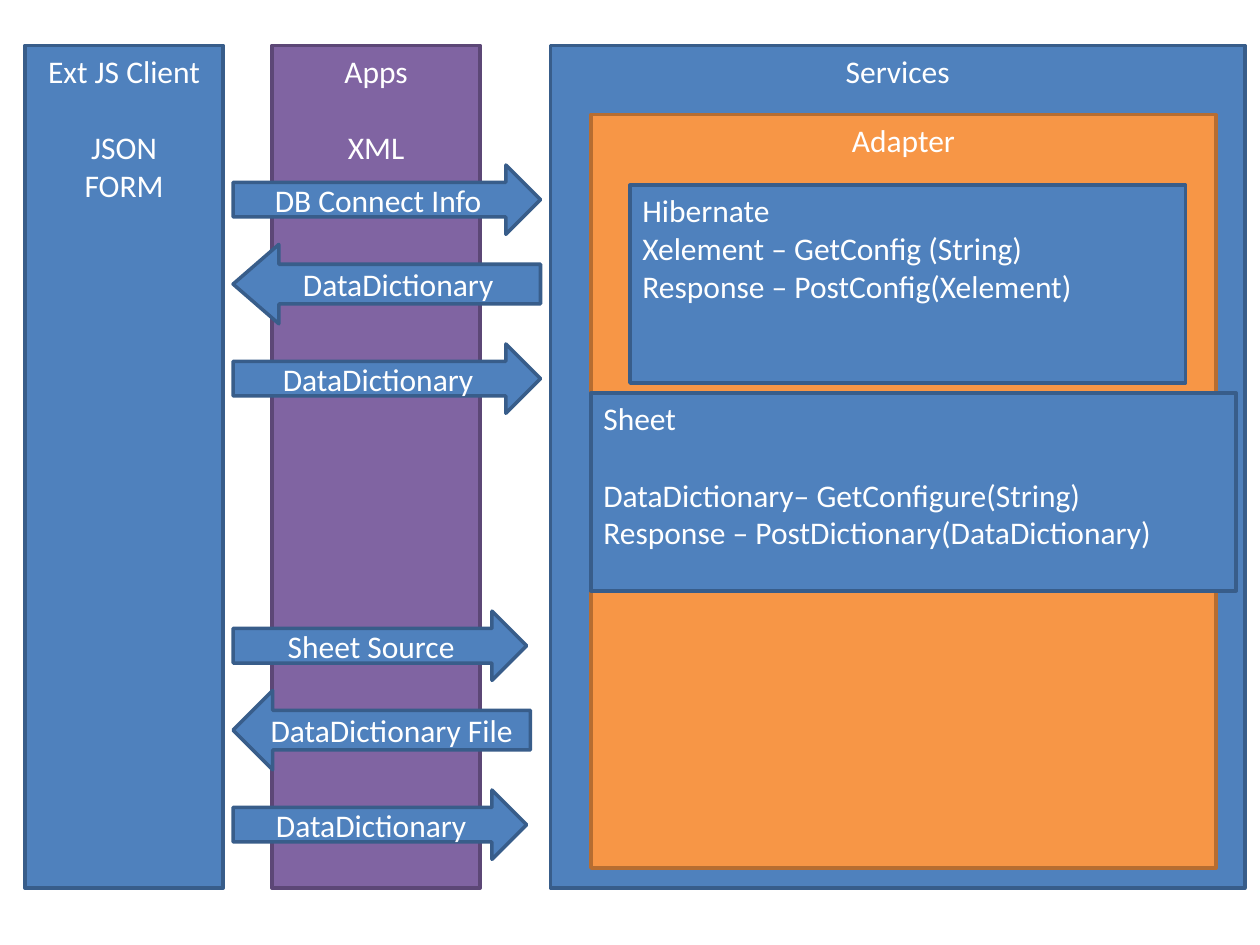
import pptx
import pptx.util
import pptx.dml.color
import pptx.enum.shapes
import pptx.enum.text

SHAPES = pptx.enum.shapes.MSO_SHAPE
ALIGN = pptx.enum.text.PP_ALIGN
ANCHOR = pptx.enum.text.MSO_ANCHOR

# Content: each paragraph is (blank lines above, text); \v breaks a line
BLUE, ORANGE, PURPLE = ("4F81BD", "385D8A"), ("F79646", "B66D31"), ("8064A2", "5C4776")
COLUMN_TOP, COLUMN_HEIGHT, CARD_HEIGHT = 0.36, 6.69, 1.57
PANELS = [  # left, top, width, height, colours, alignment, paragraphs
    (4.37, COLUMN_TOP, 5.51, COLUMN_HEIGHT, BLUE, ALIGN.CENTER, [(0, "Services")]),
    (4.69, 0.91, 4.96, 5.98, ORANGE, ALIGN.CENTER, [(0, "Adapter")]),
    (2.16, COLUMN_TOP, 1.65, COLUMN_HEIGHT, PURPLE, ALIGN.CENTER,
     [(0, "Apps"), (1, "XML")]),
    (5.0, 1.47, 4.41, CARD_HEIGHT, BLUE, ALIGN.LEFT,
     [(0, "Hibernate\vXelement – GetConfig (String)"),
      (0, "Response – PostConfig(Xelement)")]),
    (0.2, COLUMN_TOP, 1.57, COLUMN_HEIGHT, BLUE, ALIGN.CENTER,
     [(0, "Ext JS Client"), (1, "JSON\vFORM")]),
    (4.69, 3.12, 5.12, CARD_HEIGHT, BLUE, ALIGN.LEFT,
     [(0, "Sheet"), (1, "DataDictionary– GetConfigure(String)"),
      (0, "Response – PostDictionary(DataDictionary)")]),
]

# Each exchange is request, reply, request: (text, width)
EXCHANGES = [
    (1.31, 0.577, [("DB Connect Info", 2.44), ("DataDictionary", 2.44),
                   ("DataDictionary", 2.44)]),
    (4.85, 0.5, [("Sheet Source", 2.33), ("DataDictionary File", 2.36),
                 ("DataDictionary", 2.33)]),
]
ARROW_LEFT = 1.85
STEPS = [  # offset from the exchange's top, height, shape
    (0, 0.55, SHAPES.RIGHT_ARROW),
    (0.63, 0.63, SHAPES.LEFT_ARROW),
    (1.42, 0.55, SHAPES.RIGHT_ARROW),
]
LINE_HEIGHT = 22


def colour(value):
    return pptx.dml.color.RGBColor.from_string(value)


def add_box(page, kind, place, colours, align, anchor, paragraphs):
    box = page.shapes.add_shape(kind, *map(pptx.util.Inches, place))
    box.shadow.inherit = False
    box.fill.solid()
    box.fill.fore_color.rgb = colour(colours[0])
    box.line.color.rgb = colour(colours[1])
    box.line.width = pptx.util.Pt(2)
    frame = box.text_frame
    frame.word_wrap = True
    frame.vertical_anchor = anchor
    for index, (gap, text) in enumerate(paragraphs):
        para = frame.add_paragraph() if index else frame.paragraphs[0]
        para.text = text
        para.alignment = align
        para.space_before = pptx.util.Pt(gap * LINE_HEIGHT)
        for span in para.runs:
            for name, value in {"name": "Calibri", "size": pptx.util.Pt(18)}.items():
                setattr(span.font, name, value)
            span.font.color.rgb = colour("FFFFFF")
    return box


deck = pptx.Presentation()
deck.slide_width, deck.slide_height = pptx.util.Inches(10), pptx.util.Inches(7.5)
page = deck.slides.add_slide(deck.slide_layouts[6])

# Columns and cards
for *place, colours, align, paragraphs in PANELS:
    add_box(page, SHAPES.RECTANGLE, place, colours, align, ANCHOR.TOP, paragraphs)

# Arrows between client and services
for top, reply_head, messages in EXCHANGES:
    for (offset, height, kind), (text, width) in zip(STEPS, messages):
        arrow = add_box(page, kind, (ARROW_LEFT, top + offset, width, height),
                        BLUE, ALIGN.CENTER, ANCHOR.MIDDLE, [(0, text)])
        if kind == SHAPES.LEFT_ARROW:
            arrow.adjustments[1] = reply_head

deck.save("out.pptx")
